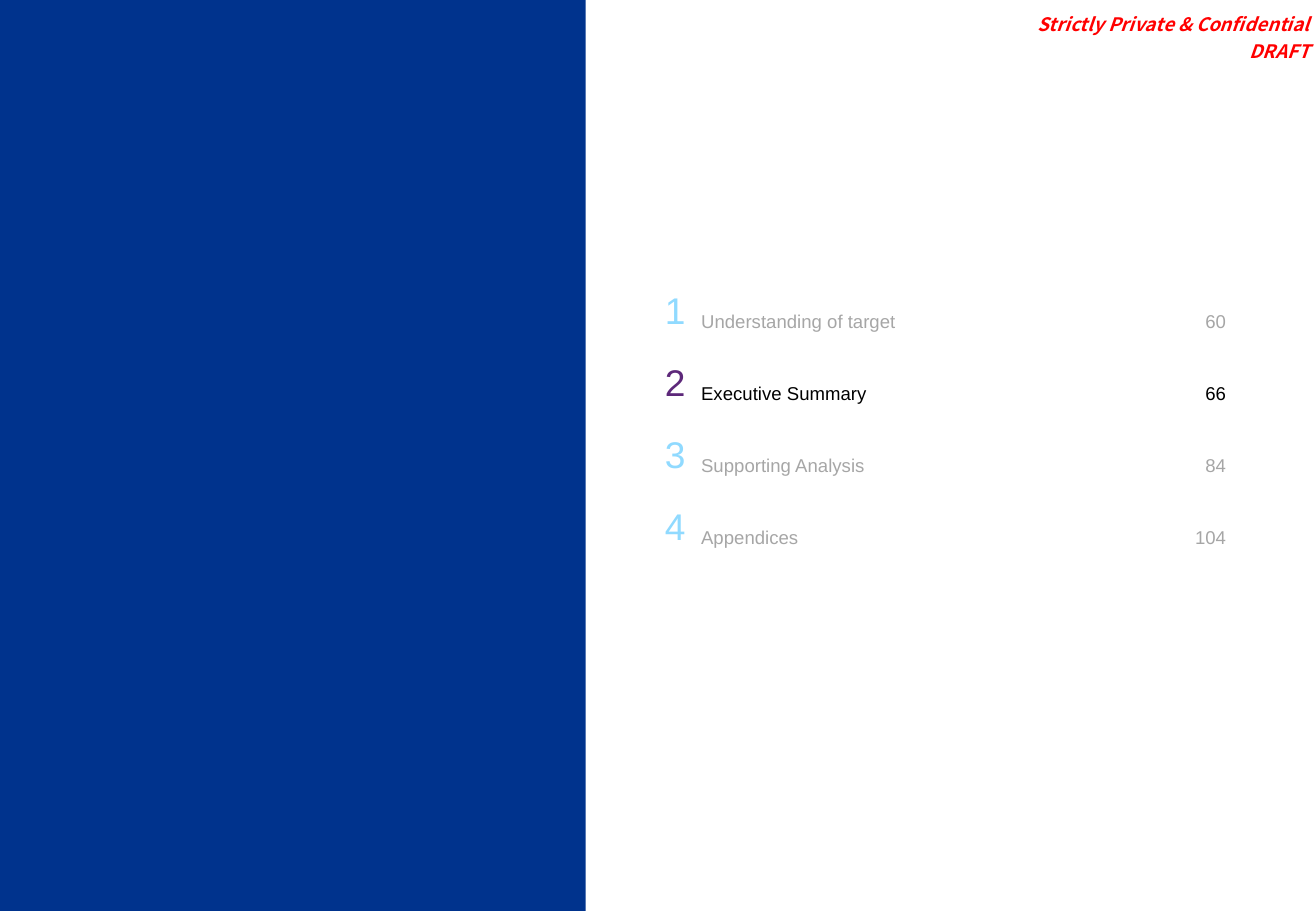
from pptx import Presentation
from pptx.dml.color import RGBColor
from pptx.enum.shapes import MSO_SHAPE
from pptx.enum.text import MSO_ANCHOR, PP_ALIGN
from pptx.util import Inches, Pt

SLIDE_WIDTH, SLIDE_HEIGHT = 10.83, 7.5
PANEL_WIDTH = 4.82
COLUMN_WIDTHS = (0.56, 3.96, 0.49)
ROW_HEIGHT = 0.5925
CONTENTS_LEFT, CONTENTS_TOP = 5.17, 2.27

BLUE, RED, BLACK, GREY = "00338D", "FF0000", "000000", "A6A6A6"
LIGHT_BLUE, PURPLE = "90DAFF", "5D287A"

SECTIONS = [
    ("Understanding of target", 60),
    ("Executive Summary", 66),
    ("Supporting Analysis", 84),
    ("Appendices", 104),
]
CURRENT_SECTION = 2


def rgb(color):
    return RGBColor.from_string(color)


def add_run(paragraph, text, size, color, name="Arial", emphasis=False):
    run = paragraph.add_run()
    run.text = text
    run.font.name = name
    run.font.size = Pt(size)
    run.font.bold = run.font.italic = emphasis
    run.font.color.rgb = rgb(color)


def add_panel(slide):
    shape = slide.shapes.add_shape(
        MSO_SHAPE.RECTANGLE, 0, 0, Inches(PANEL_WIDTH), Inches(SLIDE_HEIGHT))
    shape.shadow.inherit = False
    shape.fill.solid()
    shape.fill.fore_color.rgb = rgb(BLUE)
    shape.line.fill.background()


def add_marking(slide, lines):
    box = slide.shapes.add_textbox(Inches(8.32), 0, Inches(2.5), Inches(0.55))
    frame = box.text_frame
    frame.word_wrap = True
    frame.vertical_anchor = MSO_ANCHOR.BOTTOM
    frame.margin_left = 0
    frame.margin_top = frame.margin_right = frame.margin_bottom = Inches(0.04)
    for index, line in enumerate(lines):
        paragraph = frame.add_paragraph() if index else frame.paragraphs[0]
        paragraph.alignment = PP_ALIGN.RIGHT
        if index:
            paragraph.space_before = Pt(2.5)
        add_run(paragraph, line, 11, RED, "Noto Sans CJK KR", emphasis=True)


def fill_cell(cell, text, size, color, alignment, margins):
    cell.fill.background()
    cell.vertical_anchor = MSO_ANCHOR.MIDDLE
    cell.margin_left, cell.margin_top, cell.margin_right = map(Inches, margins)
    cell.margin_bottom = Inches(0.05)
    paragraph = cell.text_frame.paragraphs[0]
    paragraph.alignment = alignment
    add_run(paragraph, text, size, color)


def add_contents(slide):
    table = slide.shapes.add_table(
        len(SECTIONS), len(COLUMN_WIDTHS),
        Inches(CONTENTS_LEFT), Inches(CONTENTS_TOP),
        Inches(sum(COLUMN_WIDTHS)), Inches(ROW_HEIGHT * len(SECTIONS))).table
    table.first_row = table.horz_banding = False
    for column, width in zip(table.columns, COLUMN_WIDTHS):
        column.width = Inches(width)

    for number, (title, page) in enumerate(SECTIONS, start=1):
        current = number == CURRENT_SECTION
        number_color = PURPLE if current else LIGHT_BLUE
        text_color = BLACK if current else GREY
        row = table.rows[number - 1]
        row.height = Inches(ROW_HEIGHT)
        number_cell, title_cell, page_cell = row.cells
        fill_cell(number_cell, str(number), 22, number_color,
                  PP_ALIGN.RIGHT, (0.09, 0.05, 0.09))
        fill_cell(title_cell, title, 11, text_color,
                  PP_ALIGN.LEFT, (0.04, 0.22, 0))
        fill_cell(page_cell, str(page), 11, text_color,
                  PP_ALIGN.RIGHT, (0.09, 0.22, 0.09))


def main():
    presentation = Presentation()
    presentation.slide_width = Inches(SLIDE_WIDTH)
    presentation.slide_height = Inches(SLIDE_HEIGHT)
    slide = presentation.slides.add_slide(presentation.slide_layouts[6])

    # Colour panel on the left
    add_panel(slide)
    # Confidentiality marking at the top right
    add_marking(slide, ["Strictly Private & Confidential", "DRAFT"])
    # Table of contents with the current section highlighted
    add_contents(slide)

    presentation.save("out.pptx")


if __name__ == "__main__":
    main()
